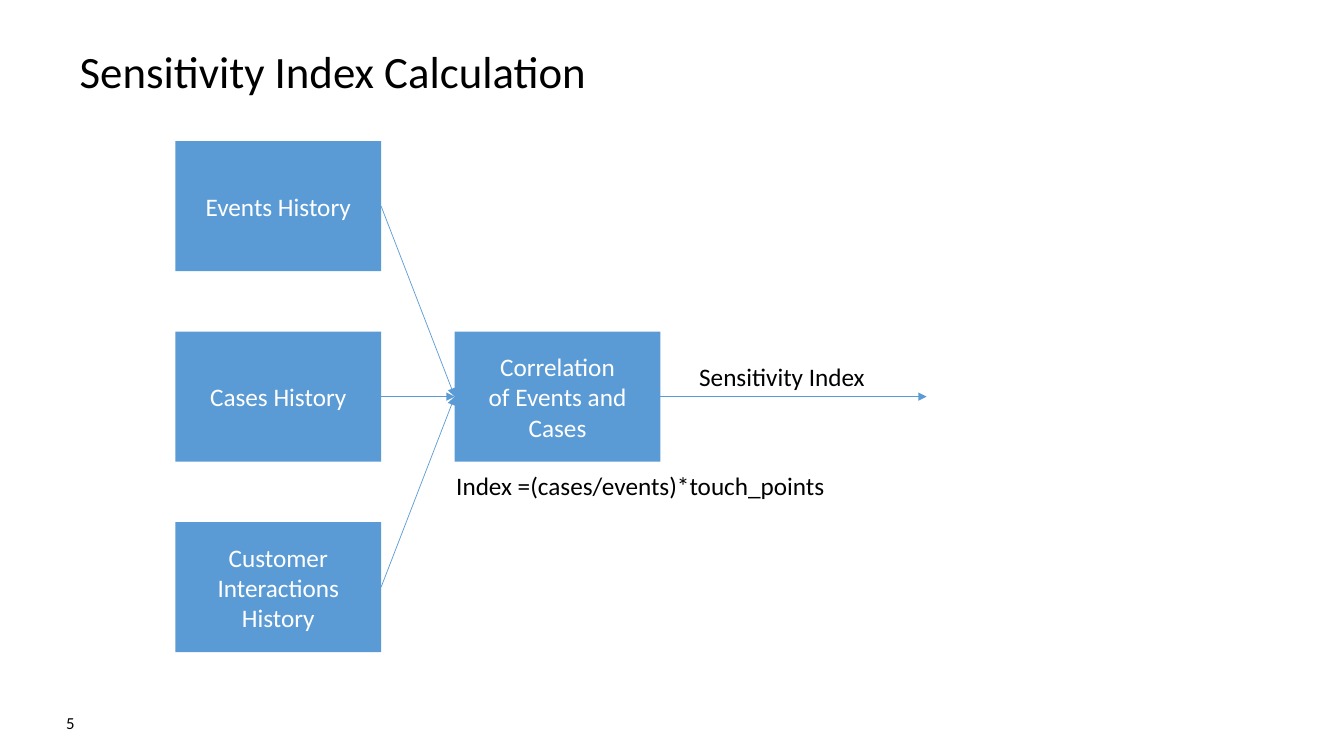
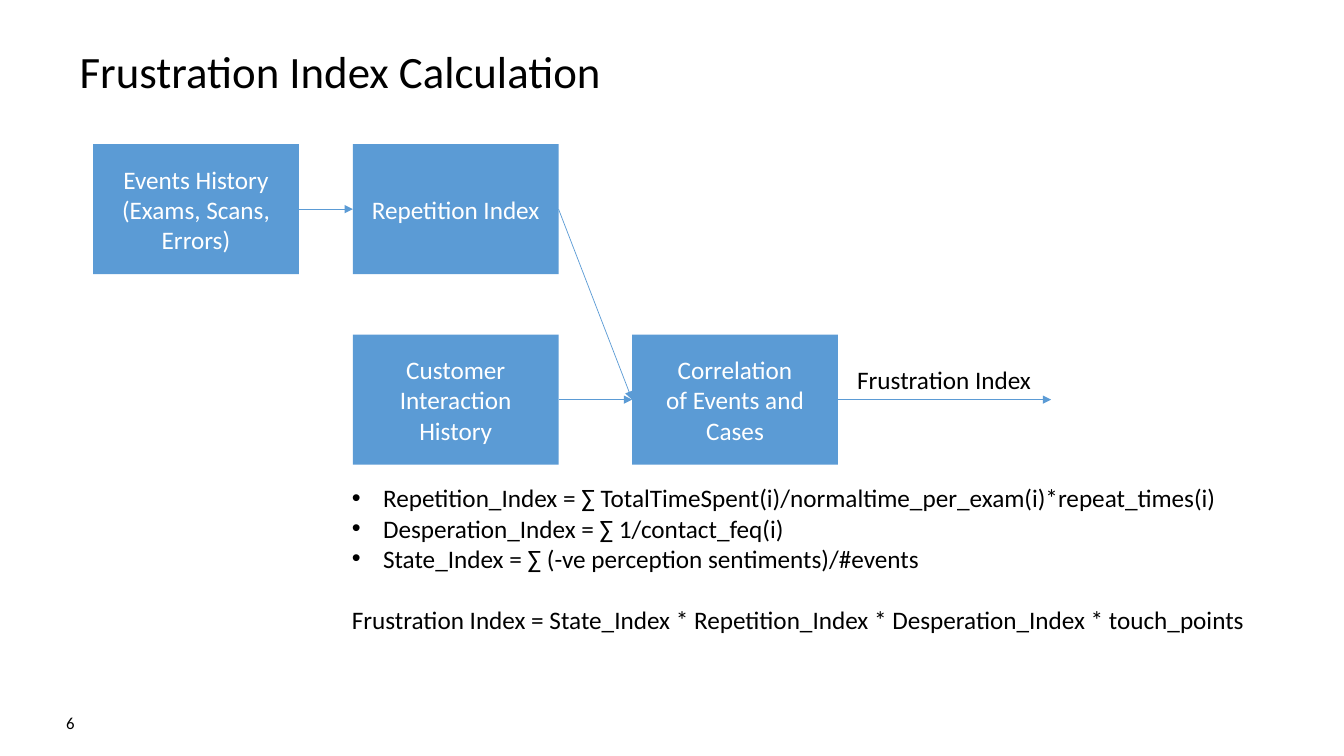
"""Build two slides that explain how the index values are calculated."""
from dataclasses import dataclass

from lxml.etree import SubElement
from pptx import Presentation
from pptx.dml.color import RGBColor as Color
from pptx.enum.shapes import MSO_CONNECTOR as Connector, MSO_SHAPE as Shape
from pptx.enum.text import MSO_ANCHOR as Anchor, MSO_AUTO_SIZE as AutoSize, PP_ALIGN as Align
from pptx.oxml.ns import qn
from pptx.util import Emu, Inches, Pt


@dataclass(frozen=True)
class Theme:
    font: str = "Calibri"
    text: Color = Color(0, 0, 0)
    accent: Color = Color(0x5B, 0x9B, 0xD5)
    on_accent: Color = Color(255, 255, 255)
    title_size: int = 32
    body_size: int = 18
    number_size: int = 12
    line_width: float = 0.5
    indent: float = 0.31
    column: float = 2.77
    row: float = 1.89
    box_width: float = 2.04
    box_height: float = 1.29


class Deck:
    def __init__(self, theme, first_number):
        self.theme = theme
        self.number = first_number
        self.presentation = Presentation()
        self.presentation.slide_width = Inches(13.33)
        self.presentation.slide_height = Inches(7.5)

    def start(self, title, layout, left, top):
        self.left, self.top = left, top
        layouts = self.presentation.slide_layouts
        self.slide = self.presentation.slides.add_slide(layouts.get_by_name(layout))
        heading = self.slide.shapes.title
        self.place(heading, 0.79, 0.49, 11.76, 1.1)
        self.set_text(heading, title, self.theme.title_size, margin=0)
        heading.text_frame.paragraphs[0].line_spacing = 0.9
        number = self.slide.shapes.add_textbox(0, 0, 0, 0)
        self.place(number, 0.35, 7.07, 0.39, 0.22)
        self.set_text(number, str(self.number), self.theme.number_size, align=Align.RIGHT, margin=0)
        self.number += 1

    def place(self, shape, left, top, width, height):
        shape.left, shape.top = Inches(left), Inches(top)
        shape.width, shape.height = Inches(width), Inches(height)

    def point(self, column, row):
        return self.left + column * self.theme.column, self.top + row * self.theme.row

    def set_text(self, shape, text, size, color=None, align=Align.LEFT, anchor=Anchor.TOP,
                 margin=None):
        frame = shape.text_frame
        frame.text = text
        frame.word_wrap = True
        frame.auto_size = AutoSize.NONE
        frame.vertical_anchor = anchor
        if margin is not None:
            frame.margin_left = frame.margin_right = Inches(margin)
            frame.margin_top = frame.margin_bottom = Inches(margin)
        for paragraph in frame.paragraphs:
            paragraph.alignment = align
            paragraph.space_before = Pt(0)
            for run in paragraph.runs:
                run.font.name = self.theme.font
                run.font.size = Pt(size)
                run.font.color.rgb = color or self.theme.text

    def box(self, text, column, row):
        theme = self.theme
        shape = self.slide.shapes.add_shape(Shape.RECTANGLE, 0, 0, 0, 0)
        self.place(shape, *self.point(column, row), theme.box_width, theme.box_height)
        shape.shadow.inherit = False
        shape.fill.solid()
        shape.fill.fore_color.rgb = theme.accent
        shape.line.fill.background()
        self.set_text(shape, text, theme.body_size, theme.on_accent, Align.CENTER, Anchor.MIDDLE)
        return shape

    def line(self, start, end_x, end_y):
        start_x, start_y = start.left + start.width, start.top + start.height // 2
        connector = self.slide.shapes.add_connector(
            Connector.STRAIGHT, start_x, start_y, end_x, end_y)
        connector.begin_connect(start, 3)
        connector.line.color.rgb = self.theme.accent
        connector.line.width = Pt(self.theme.line_width)
        properties = connector.line._get_or_add_ln()
        SubElement(properties, qn("a:tailEnd"), type="triangle")
        SubElement(properties.getparent(), qn("a:effectLst"))
        return connector

    def link(self, start, end):
        self.line(start, end.left, end.top + end.height // 2).end_connect(end, 1)

    def output(self, start, end_column):
        end_x = Inches(self.point(end_column, 0)[0])
        self.line(start, end_x, Emu(start.top + start.height // 2))

    def fit(self, shape):
        shape.text_frame.word_wrap = False
        shape.text_frame.auto_size = AutoSize.SHAPE_TO_FIT_TEXT

    def label(self, text, column, row, columns):
        shape = self.slide.shapes.add_textbox(0, 0, 0, 0)
        self.place(shape, *self.point(column, row), columns * self.theme.column, 0.4)
        self.set_text(shape, text, self.theme.body_size)
        self.fit(shape)

    def formulas(self, items, result, column, row, columns, rows):
        theme = self.theme
        body = self.slide.placeholders[1]
        self.place(body, *self.point(column, row), columns * theme.column, rows * theme.row)
        self.set_text(body, "\n".join([*items, result]), theme.body_size)
        self.fit(body)
        *bullets, conclusion = body.text_frame.paragraphs
        for paragraph in bullets:
            self.mark(paragraph, theme.indent, "a:buChar", char="•")
        self.mark(conclusion, 0, "a:buNone")
        conclusion.space_before = Pt(22)

    def mark(self, paragraph, indent, tag, **attributes):
        properties = paragraph._p.get_or_add_pPr()
        properties.set("marL", str(Inches(indent)))
        properties.set("indent", str(-Inches(indent)))
        SubElement(properties, qn(tag), **attributes)


CORRELATION = "Correlation\nof Events and Cases"


def sensitivity(deck):
    deck.start("Sensitivity Index Calculation", "Title Only", 1.74, 1.4)
    correlation = deck.box(CORRELATION, 1, 1)
    sources = ["Events History", "Cases History", "Customer Interactions History"]
    for row, text in enumerate(sources):
        deck.link(deck.box(text, 0, row), correlation)
    deck.output(correlation, 2.69)
    deck.label("Sensitivity Index", 1.84, 1.13, 0.67)
    deck.label("Index =(cases/events)*touch_points", 0.97, 1.7, 1.41)


def frustration(deck):
    deck.start("Frustration Index Calculation", "Title and Content", 3.5, 1.43)
    correlation = deck.box(CORRELATION, 1, 1)
    events = deck.box("Events History\n(Exams, Scans, Errors)", -0.93, 0)
    repetition = deck.box("Repetition Index", 0, 0)
    interaction = deck.box("Customer Interaction History", 0, 1)
    deck.link(events, repetition)
    deck.link(repetition, correlation)
    deck.link(interaction, correlation)
    deck.output(correlation, 2.5)
    deck.label("Frustration Index", 1.77, 1.13, 0.7)
    deck.formulas(
        ["Repetition_Index = ∑ TotalTimeSpent(i)/normaltime_per_exam(i)*repeat_times(i)",
         "Desperation_Index = ∑ 1/contact_feq(i)",
         "State_Index = ∑ (-ve perception sentiments)/#events"],
        "Frustration Index = State_Index * Repetition_Index * Desperation_Index * touch_points",
        -0.04, 1.75, 3.29, 0.86)


deck = Deck(Theme(), first_number=5)
sensitivity(deck)
frustration(deck)
deck.presentation.save("out.pptx")
